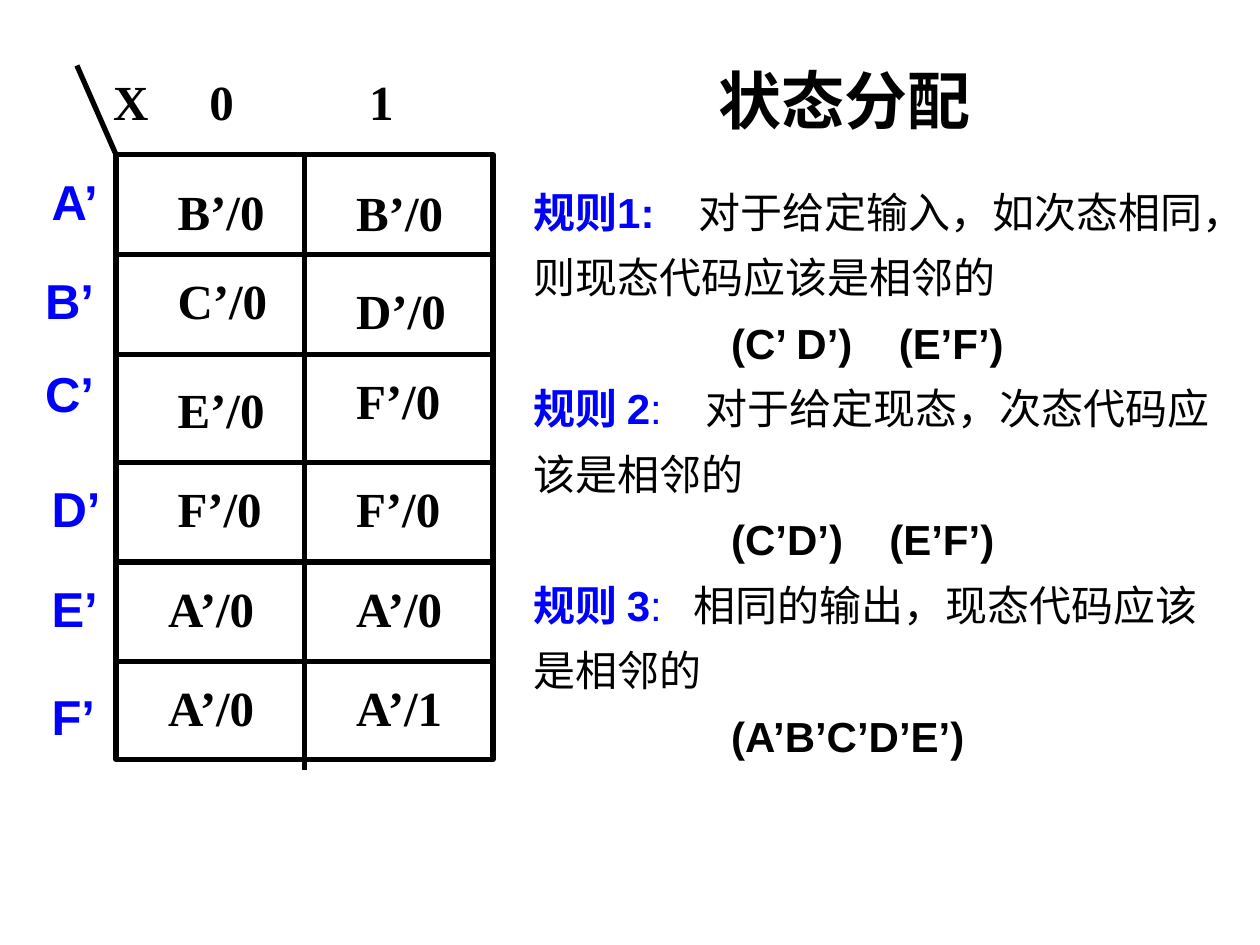
from dataclasses import dataclass

from lxml import etree
from pptx import Presentation
from pptx.dml.color import RGBColor
from pptx.enum.shapes import MSO_CONNECTOR, MSO_SHAPE
from pptx.enum.text import MSO_ANCHOR, MSO_AUTO_SIZE, PP_ALIGN
from pptx.oxml.ns import qn
from pptx.util import Cm, Pt

STRAIGHT = MSO_CONNECTOR.STRAIGHT
RECTANGLE = MSO_SHAPE.RECTANGLE
TOP = MSO_ANCHOR.TOP
LEFT, CENTER = PP_ALIGN.LEFT, PP_ALIGN.CENTER
NO_AUTOFIT = MSO_AUTO_SIZE.NONE


@dataclass(frozen=True)
class Theme:
    ink: RGBColor = RGBColor(0, 0, 0)
    accent: RGBColor = RGBColor(0, 0, 255)
    sans: str = "Arial"
    serif: str = "Times New Roman"
    title: Pt = Pt(36)
    state: Pt = Pt(28)
    body: Pt = Pt(24)
    line: Pt = Pt(3)


THEME = Theme()


def style(span, name, size, color, bold=True):
    font = span.font
    font.name, font.size, font.bold = name, size, bold
    font.color.rgb = color


def set_tabs(para, *stops):
    """Set left tab stops, given in centimetres."""
    tabs = etree.SubElement(para._p.get_or_add_pPr(), qn("a:tabLst"))
    for stop in stops:
        etree.SubElement(tabs, qn("a:tab"), pos=str(Cm(stop)), algn="l")


deck = Presentation()
deck.slide_width, deck.slide_height = Cm(25.4), Cm(19.05)
page = deck.slides.add_slide(deck.slide_layouts[5])

# Title
title = page.shapes.title
title.left, title.top, title.width, title.height = Cm(14.19), Cm(1.12), Cm(5.66), Cm(1.8)
title.text_frame.text = "状态分配"
title.text_frame.auto_size = NO_AUTOFIT
title.text_frame.word_wrap = False
title.text_frame.vertical_anchor = TOP
title.text_frame.paragraphs[0].alignment = CENTER
style(title.text_frame.paragraphs[0].runs[0], THEME.serif, THEME.title, THEME.ink)

# Frame of the state grid, its row lines, column divider and corner slash
GRID_LEFT, GRID_TOP, GRID_WIDTH, GRID_HEIGHT = 2.34, 3.12, 7.6, 12.19
grid_right = GRID_LEFT + GRID_WIDTH
divider = GRID_LEFT + GRID_WIDTH / 2
ROW_LINES = (5.13, 7.14, 9.32, 11.33, 13.34)
grid = page.shapes.add_shape(
    RECTANGLE, Cm(GRID_LEFT), Cm(GRID_TOP), Cm(GRID_WIDTH), Cm(GRID_HEIGHT))
grid.shadow.inherit = False
grid.fill.background()
grid.line.color.rgb = THEME.ink
grid.line.width = THEME.line

segments = [(GRID_LEFT, y, grid_right, y) for y in ROW_LINES]
segments.append((GRID_LEFT, GRID_TOP, 1.55, 1.32))
segments.append((divider, GRID_TOP, divider, 15.52))
for ends in segments:
    line = page.shapes.add_connector(STRAIGHT, *map(Cm, ends))
    line.line.color.rgb = THEME.ink
    line.line.width = THEME.line
    etree.SubElement(line._element.spPr, qn("a:effectLst"))
line.begin_connect(grid, 0)

# Input header, present states, and next state / output for X = 0 and X = 1
STATES = (
    ("A’", 0.79, 3.33),
    ("B’", 0.66, 5.33),
    ("C’", 0.66, 7.21),
    ("D’", 0.79, 9.53),
    ("E’", 0.79, 11.53),
    ("F’", 0.79, 13.72),
)
TRANSITIONS = (
    ("B’/0", 3.33, 3.53),
    ("C’/0", 3.33, 5.33),
    ("E’/0", 3.33, 7.52),
    ("F’/0", 3.33, 9.53),
    ("A’/0", 3.14, 11.53),
    ("A’/0", 3.14, 13.54),
    ("B’/0", 6.93, 3.56),
    ("D’/0", 6.93, 5.54),
    ("F’/0", 6.93, 7.34),
    ("F’/0", 6.93, 9.53),
    ("A’/0", 6.93, 11.53),
    ("A’/1", 6.93, 13.54),
)
LABELS = (
    ("X\t0\t1", 2.03, 1.32, 7.8, THEME.serif, THEME.ink),
    *((*state, 1.5, THEME.sans, THEME.accent) for state in STATES),
    *((*transition, 2.4, THEME.serif, THEME.ink) for transition in TRANSITIONS),
)
for text, left, top, width, face, color in LABELS:
    box = page.shapes.add_textbox(Cm(left), Cm(top), Cm(width), Cm(1.45))
    para = box.text_frame.paragraphs[0]
    if "\t" in text:
        set_tabs(para, 1.94, 5.16)
    para.text = text
    for span in para.runs:
        style(span, face, THEME.state, color)

# Assignment rules, each followed by the adjacent states
RULES = (
    ("规则1", ":", True, "对于给定输入，如次态相同，则现态代码应该是相邻的", 3.34,
     "\t(C’ D’)\t(E’F’)", 7.37),
    ("规则 2", ":", False, "对于给定现态，次态代码应该是相邻的", 3.47,
     "\t(C’D’)\t(E’F’)", 7.18),
    ("规则 3", ":", False, "相同的输出，现态代码应该是相邻的", 3.23,
     "\t(A’B’C’D’E’)", 7.18),
)
box = page.shapes.add_textbox(Cm(10.5), Cm(3.33), Cm(14.4), Cm(12.27))
frame = box.text_frame
frame.word_wrap = True
for number, (name, colon, bold_colon, rule, rule_tab, states, pair_tab) in enumerate(RULES):
    para = frame.add_paragraph() if number else frame.paragraphs[0]
    set_tabs(para, rule_tab)
    for text, color, bold in ((name, THEME.accent, True),
                              (colon, THEME.accent, bold_colon),
                              ("\t" + rule, THEME.ink, False)):
        span = para.add_run()
        span.text = text
        style(span, THEME.sans, THEME.body, color, bold)
    para = frame.add_paragraph()
    set_tabs(para, 3.99, pair_tab)
    para.text = states
    style(para.runs[0], THEME.sans, THEME.body, THEME.ink)
for para in frame.paragraphs:
    para.alignment = LEFT
    para.line_spacing = 1.3

deck.save("out.pptx")
